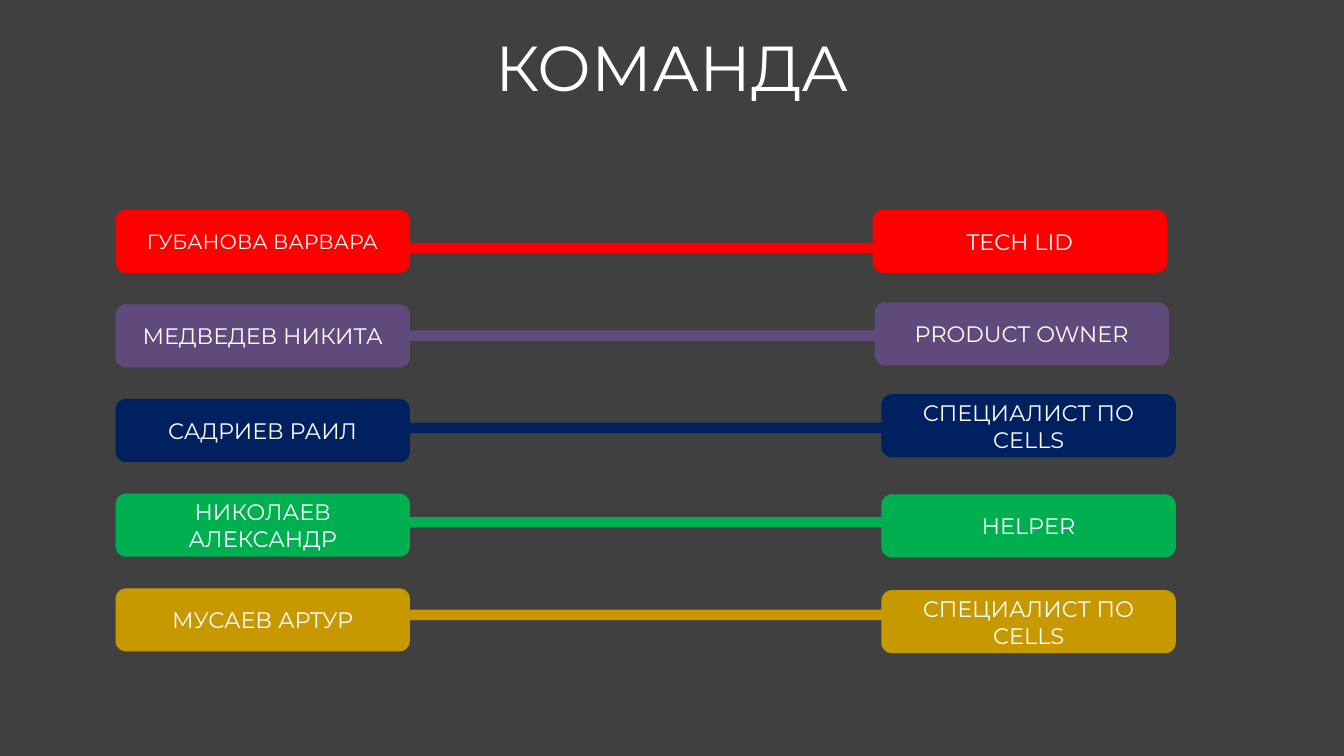
"""Build the team slide that links each member to a role."""
from pptx import Presentation
from pptx.dml.color import RGBColor
from pptx.enum.shapes import MSO_SHAPE
from pptx.enum.text import MSO_ANCHOR, PP_ALIGN
from pptx.util import Pt

WHITE = RGBColor(0xFF, 0xFF, 0xFF)
CHARCOAL = RGBColor(0x40, 0x40, 0x40)
RED = RGBColor(0xFF, 0x00, 0x00)
PURPLE = RGBColor(0x60, 0x4A, 0x7B)
NAVY = RGBColor(0x00, 0x20, 0x60)
GREEN = RGBColor(0x00, 0xB0, 0x50)
GOLD = RGBColor(0xC8, 0x98, 0x00)

TITLE = "КОМАНДА"
# name, name size, role, colour, role (left, top), link (left, top, width)
MEMBERS = [
    ("ГУБАНОВА ВАРВАРА", 11, "TECH LID", RED, (467.5, 112.4), (214, 131.2, 258.5)),
    ("МЕДВЕДЕВ НИКИТА", 12, "PRODUCT OWNER", PURPLE, (468.5, 162), (213, 178, 265)),
    ("САДРИЕВ РАИЛ", 12, "СПЕЦИАЛИСТ ПО CELLS", NAVY, (472.2, 211.2), (212.5, 227.4, 279.4)),
    ("НИКОЛАЕВ АЛЕКСАНДР", 12, "HELPER", GREEN, (472.2, 264.9), (211, 278, 267.8)),
    ("МУСАЕВ АРТУР", 12, "СПЕЦИАЛИСТ ПО CELLS", GOLD, (472.2, 316.2), (211, 327.6, 268.6)),
]

FONT = "Montserrat"
NAME_LEFT, FIRST_TOP, ROW_STEP = 61.9, 112.4, 50.7
BOX_WIDTH, BOX_HEIGHT = 157.7, 33.8
LINK_HEIGHT = 3.6


def write_text(shape, text, size):
    text_frame = shape.text_frame
    text_frame.text = text
    text_frame.word_wrap = True
    paragraph = text_frame.paragraphs[0]
    paragraph.alignment = PP_ALIGN.CENTER
    font = paragraph.runs[0].font
    font.name = FONT
    font.size = Pt(size)
    font.color.rgb = WHITE


def add_bar(slide, left, top, width, height, color):
    shape = slide.shapes.add_shape(
        MSO_SHAPE.ROUNDED_RECTANGLE, Pt(left), Pt(top), Pt(width), Pt(height))
    shape.shadow.inherit = False
    shape.fill.solid()
    shape.fill.fore_color.rgb = color
    shape.line.fill.background()
    return shape


def add_box(slide, left, top, color, text, size):
    box = add_bar(slide, left, top, BOX_WIDTH, BOX_HEIGHT, color)
    box.text_frame.vertical_anchor = MSO_ANCHOR.MIDDLE
    write_text(box, text, size)


def add_link(slide, left, top, width, color):
    link = add_bar(slide, left, top, width, LINK_HEIGHT, color)
    link.line.color.rgb = color
    link.line.width = Pt(2)


def main():
    presentation = Presentation()
    presentation.slide_width, presentation.slide_height = Pt(720), Pt(405)
    slide = presentation.slides.add_slide(presentation.slide_layouts[6])
    slide.background.fill.solid()
    slide.background.fill.fore_color.rgb = CHARCOAL

    title = slide.shapes.add_textbox(Pt(0), Pt(11.5), Pt(720), Pt(48.2))
    write_text(title, TITLE, 34)

    for row, (name, name_size, role, color, role_place, link_place) in enumerate(MEMBERS):
        add_box(slide, NAME_LEFT, FIRST_TOP + row * ROW_STEP, color, name, name_size)
        add_box(slide, *role_place, color, role, 12)
        add_link(slide, *link_place, color)

    presentation.save("out.pptx")


if __name__ == "__main__":
    main()
